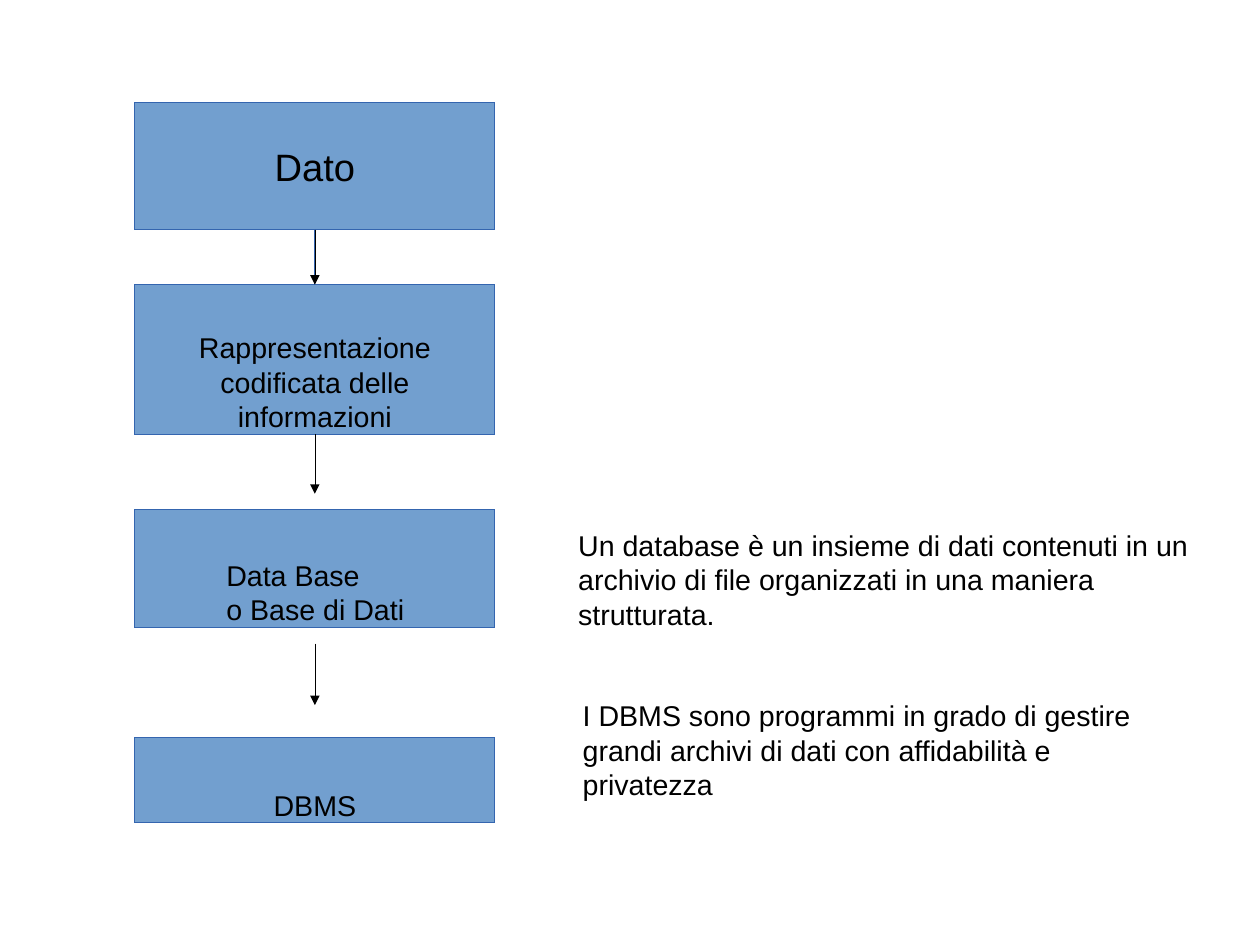
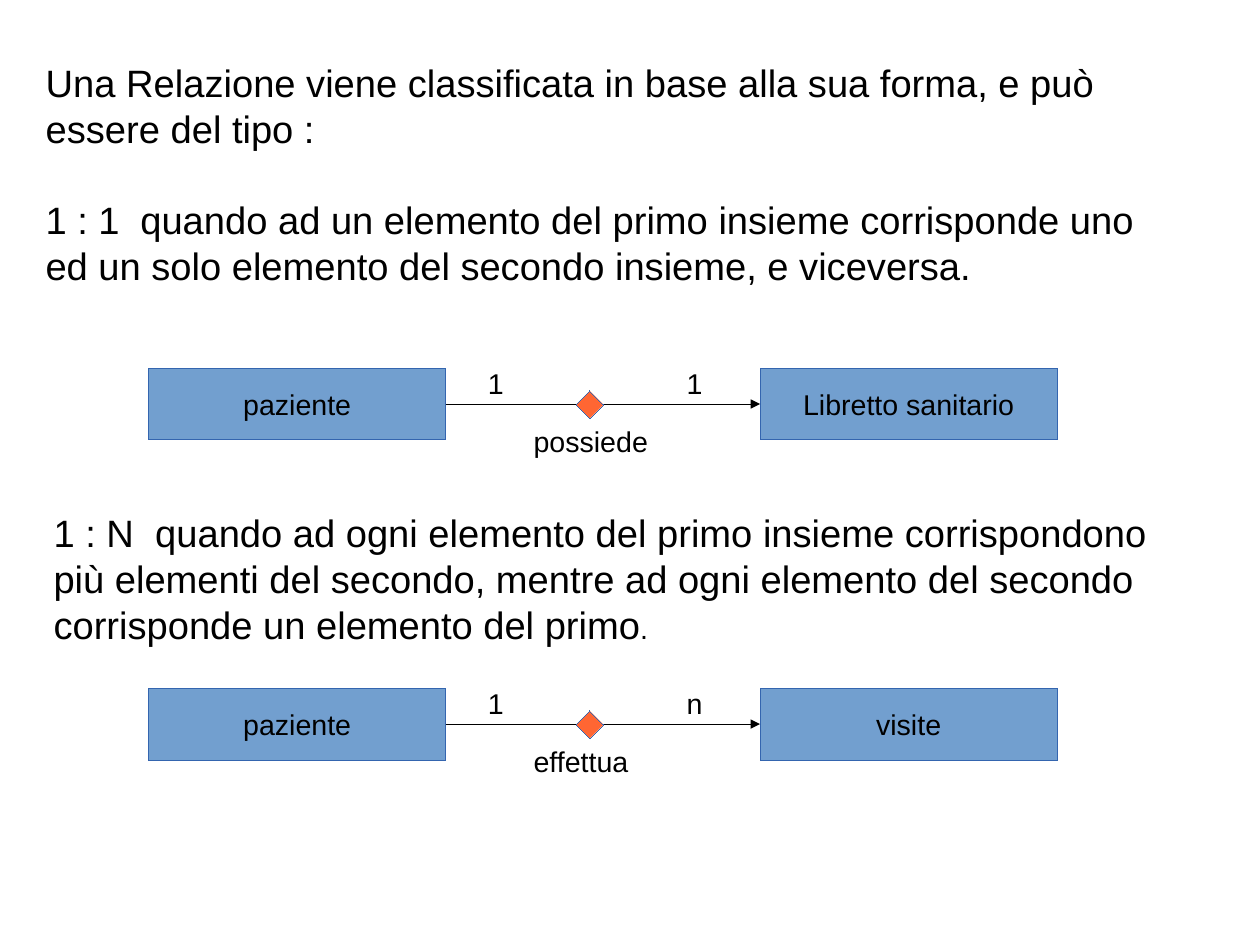
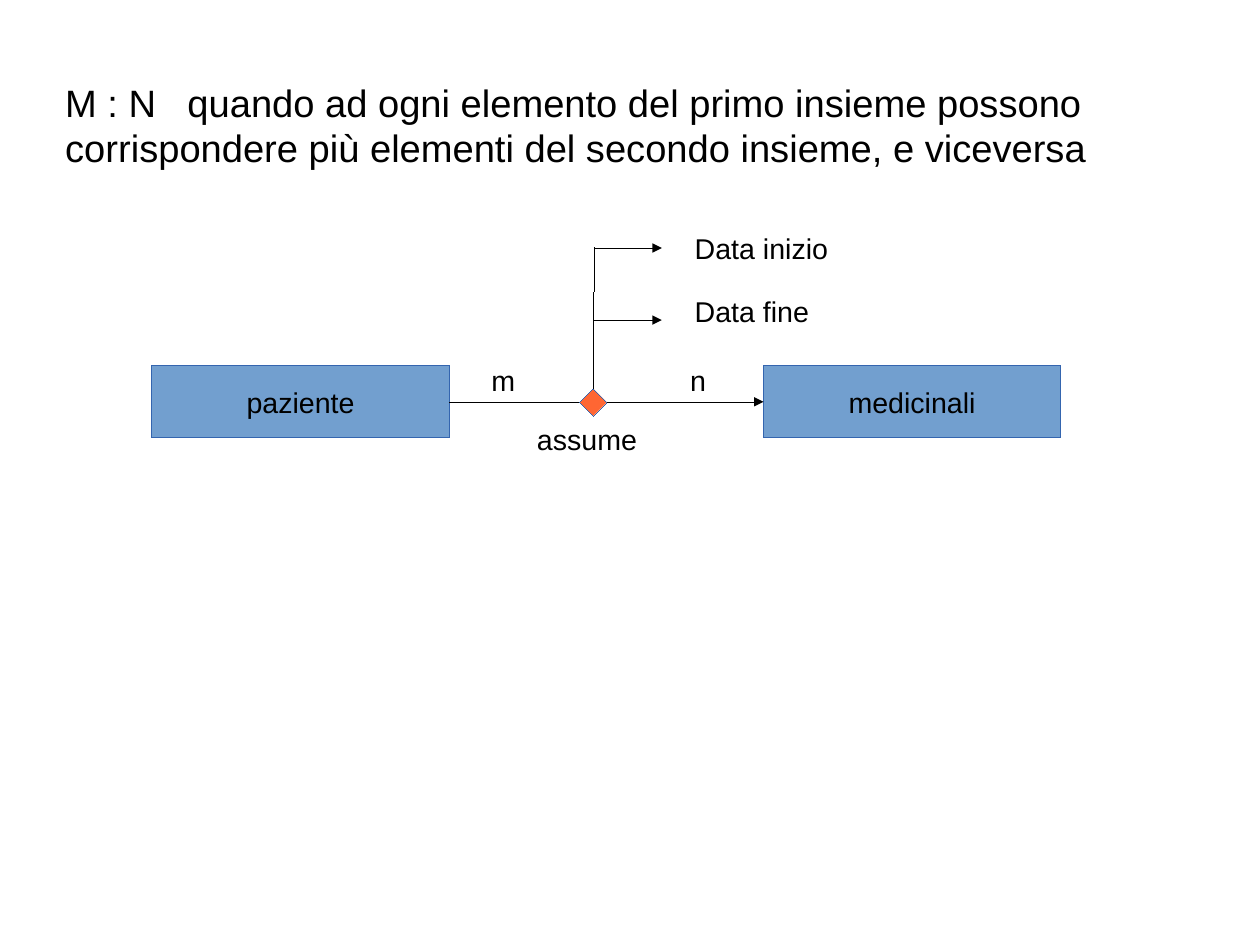
from dataclasses import dataclass

from lxml import etree
from pptx import Presentation
from pptx import util as u
from pptx.dml import color as c
from pptx.enum import shapes, text
from pptx.oxml import ns


@dataclass(frozen=True)
class Theme:
    font: str = "Arial"
    normal: int = 18
    large: int = 24
    ink: c.RGBColor = c.RGBColor(0x00, 0x00, 0x00)
    fill: c.RGBColor = c.RGBColor(0x72, 0x9F, 0xCF)
    outline: c.RGBColor = c.RGBColor(0x34, 0x65, 0xAF)
    accent: c.RGBColor = c.RGBColor(0xFF, 0x66, 0x33)
    hairline: str = "0"


theme = Theme()
RECTANGLE = shapes.MSO_SHAPE.RECTANGLE
DIAMOND = shapes.MSO_SHAPE.DIAMOND
LEFT, CENTER = text.PP_ALIGN.LEFT, text.PP_ALIGN.CENTER
TOP, MIDDLE, BOTTOM = text.MSO_ANCHOR.TOP, text.MSO_ANCHOR.MIDDLE, text.MSO_ANCHOR.BOTTOM


def place(page, kind, at, lines=(), align=LEFT, anchor=TOP, fill=theme.fill, tab=None, **insets):
    left, top, width, height = map(u.Inches, at)
    if kind == "title":
        box = page.shapes.title
        box.left, box.top, box.width, box.height = left, top, width, height
    elif kind == "text":
        box = page.shapes.add_textbox(left, top, width, height)
    else:
        box = page.shapes.add_shape(kind, left, top, width, height)
        box.shadow.inherit = False
        box.fill.solid()
        box.fill.fore_color.rgb = fill
        box.line.color.rgb = theme.outline
        box.line._get_or_add_ln().set("w", theme.hairline)
    frame = box.text_frame
    look = {"word_wrap": True, "auto_size": text.MSO_AUTO_SIZE.NONE, "vertical_anchor": anchor}
    for name, value in (look | insets).items():
        setattr(frame, name, value)
    for index, spans in enumerate(lines):
        para = frame.add_paragraph() if index else frame.paragraphs[0]
        para.alignment = align
        if tab:
            stops = etree.SubElement(para._p.get_or_add_pPr(), ns.qn("a:tabLst"))
            etree.SubElement(stops, ns.qn("a:tab"), pos=str(u.Inches(tab)), algn="l")
        for words, size in spans:
            span = para.add_run()
            span.text = words
            for name, value in {"name": theme.font, "size": u.Pt(size)}.items():
                setattr(span.font, name, value)
            span.font.color.rgb = theme.ink
    return box


def connect(page, start, end, begin=None, finish=None, color=theme.ink, arrow=True):
    points = [u.Inches(value) for value in (*start, *end)]
    line = page.shapes.add_connector(shapes.MSO_CONNECTOR.STRAIGHT, *points)
    if begin:
        line.begin_connect(*begin)
    if finish:
        line.end_connect(*finish)
    line.line.color.rgb = color
    outline = line.line._get_or_add_ln()
    outline.set("w", theme.hairline)
    if arrow:
        etree.SubElement(outline, ns.qn("a:tailEnd"), type="triangle")
    etree.SubElement(line._element.spPr, ns.qn("a:effectLst"))


deck = Presentation()
deck.slide_width, deck.slide_height = u.Cm(28), u.Cm(21)
title_only, blank = deck.slide_layouts[5], deck.slide_layouts[6]

concepts = deck.slides.add_slide(blank)
low = {"anchor": BOTTOM, "margin_bottom": u.Inches(0.01)}
steps = [
    (0.9, 1.11, ["Dato"], theme.large, {"align": CENTER, "anchor": MIDDLE}),
    (2.49, 1.31, ["Rappresentazione codificata delle informazioni"], theme.normal, {"align": CENTER, **low}),
    (4.46, 1.03, ["Data Base", "o Base di Dati"], theme.normal, {"margin_left": u.Inches(0.8), **low}),
    (6.45, 0.75, ["DBMS"], theme.normal, {"align": CENTER, **low}),
]
step_left, step_width = 1.18, 3.15
boxes = [
    place(concepts, RECTANGLE, (step_left, top, step_width, height), [[(words, size)] for words in lines], **look)
    for top, height, lines, size, look in steps
]
middle = step_left + step_width / 2
joined = {"begin": (boxes[0], 2), "finish": (boxes[1], 0)}
connect(concepts, (middle, 2.01), (middle, 2.49), color=theme.outline, arrow=False, **joined)
connect(concepts, (middle, 2.01), (middle, 2.49), **joined)
connect(concepts, (middle, 3.8), (middle, 4.32), begin=(boxes[1], 2))
connect(concepts, (middle, 5.63), (middle, 6.17))

definitions = [
    ((4.96, 4.57, 5.75, 0.94),
     ["Un database è un insieme di dati contenuti in un",
      "archivio di file organizzati in una maniera strutturata."]),
    ((5, 6.06, 5.43, 0.94),
     ["I DBMS sono programmi in grado di gestire grandi archivi di dati con affidabilità e privatezza"]),
]
for at, lines in definitions:
    place(concepts, "text", at, [[(words, theme.normal)] for words in lines])

single = deck.slides.add_slide(title_only)
multiple = deck.slides.add_slide(title_only)
statements = [
    (single, "title", (0.3, 0.47, 10.09, 0.9), None,
     [[("Una Relazione viene classificata in base alla sua forma, e può", theme.large)],
      [("essere del tipo :", theme.large)]]),
    (single, "text", (0.3, 1.67, 10.09, 0.9), 0.83,
     [[("1 : 1\tquando ad un elemento del primo insieme corrisponde uno ed un solo elemento "
        "del secondo insieme, e viceversa.", theme.large)]]),
    (single, "text", (0.37, 4.41, 10.1, 1.3), 0.89,
     [[("1 : N\tquando ad ogni elemento del primo insieme corrispondono più elementi del secondo, "
        "mentre ad ogni elemento del secondo", theme.large)],
      [("corrisponde un elemento del primo", theme.large), (".", theme.normal)]]),
    (multiple, "title", (0.47, 0.64, 9.54, 0.9), 1.07,
     [[("M : N\tquando ad ogni elemento del primo insieme possono", theme.large)],
      [("corrispondere più elementi del secondo insieme, e viceversa", theme.large)]]),
]
for page, kind, at, tab, lines in statements:
    place(page, kind, at, lines, tab=tab)

relations = [
    (single, 1.3, 3.22, "Libretto sanitario", "possiede", "1", "1"),
    (single, 1.3, 6.02, "visite", "effettua", "1", "n"),
    (multiple, 1.33, 3.2, "medicinali", "assume", "m", "n"),
]
for page, left, top, target, verb, source_count, target_count in relations:
    entities = [
        place(page, RECTANGLE, (x, top, 2.6, 0.63), [[(words, theme.normal)]], align=CENTER, anchor=MIDDLE)
        for x, words in ((left, "paziente"), (left + 5.35, target))
    ]
    connect(page, (left + 2.6, top + 0.32), (left + 5.35, top + 0.32),
            begin=(entities[0], 3), finish=(entities[1], 1))
    diamond = place(page, DIAMOND, (left + 3.74, top + 0.2, 0.24, 0.24), fill=theme.accent)
    labels = [(3.27, 0.44, 1.5, verb), (2.87, -0.07, 0.6, source_count), (4.61, -0.07, 0.6, target_count)]
    for right, down, width, words in labels:
        place(page, "text", (left + right, top + down, width, 0.38), [[(words, theme.normal)]])

stem = 5.2
connect(multiple, (stem, 3.4), (stem, 2.17), begin=(diamond, 0), arrow=False)
for branch, label_top, words in ((2.17, 1.97, "Data inizio"), (2.8, 2.52, "Data fine")):
    connect(multiple, (stem, branch), (5.79, branch))
    place(multiple, "text", (5.98, label_top, 1.97, 0.38), [[(words, theme.normal)]])

deck.save("out.pptx")
